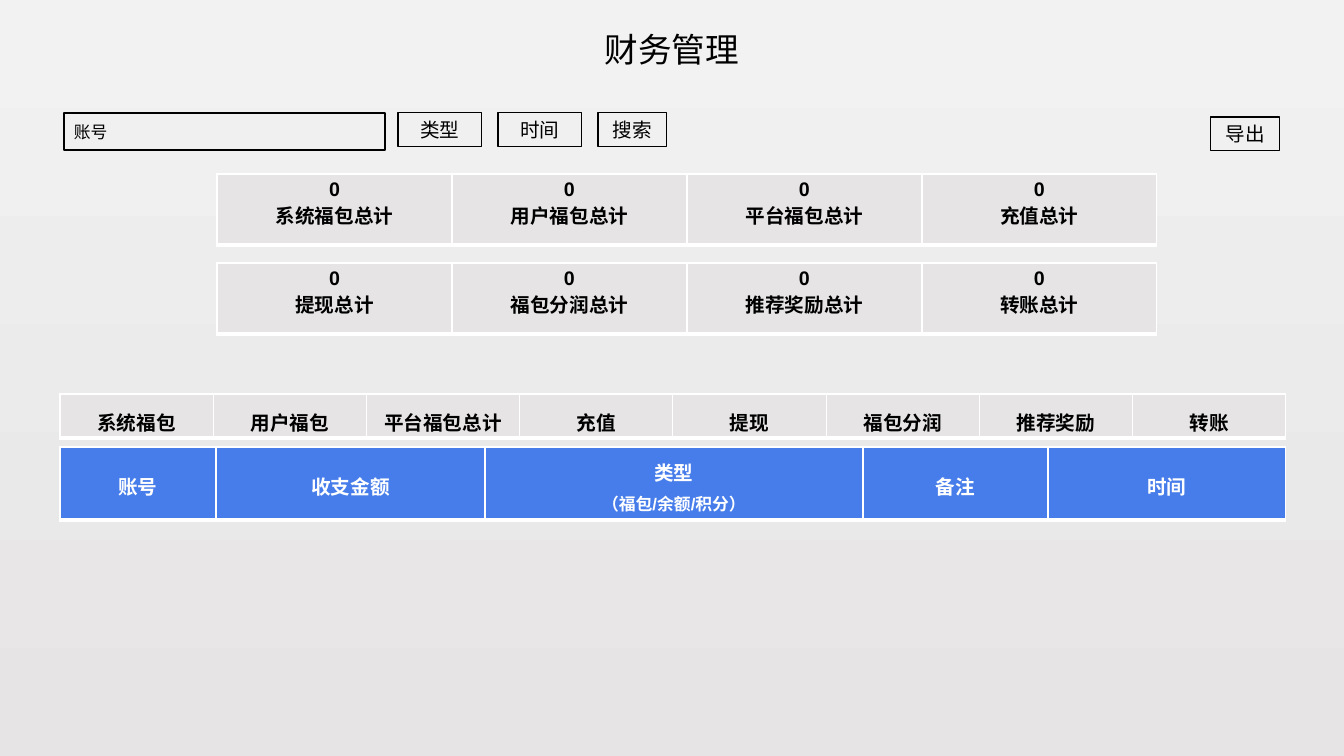
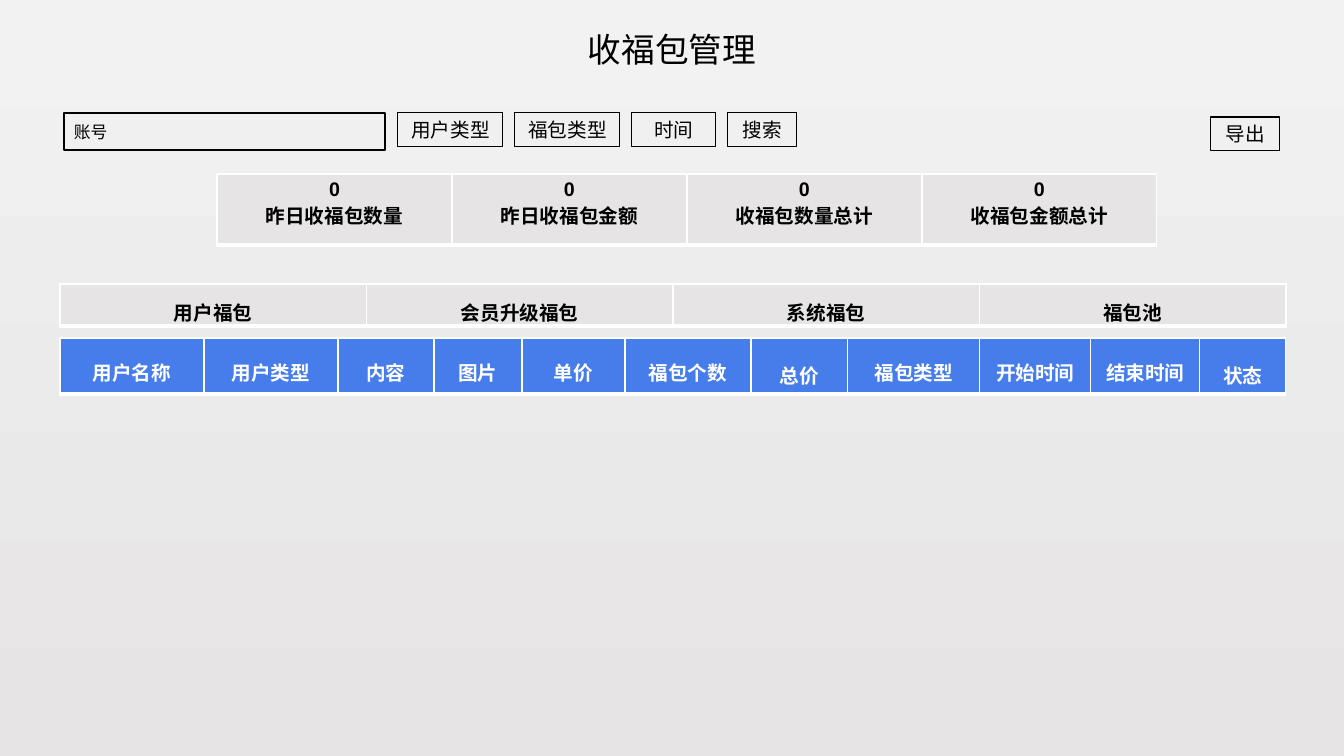
from lxml import etree
from pptx import Presentation
from pptx import util as u
from pptx.dml.color import RGBColor
from pptx.enum import shapes, text
from pptx.oxml.ns import qn

PIXEL = 914400 / 100.8
FONT = "Arial"
COLORS = {
    "ink": "000000",
    "white": "FFFFFF",
    "blue": "477DEA",
    "grey": "E6E4E4",
    "sky": "F2F2F2",
}
LEFT, WIDTH = 60, 1226
STATS_LEFT, STATS_WIDTH = 217, 940
BUTTON_HEIGHT = 34
BORDERS = {"a:lnL": 1, "a:lnR": 1, "a:lnT": 1, "a:lnB": 3}


def add_box(slide, box, words, size=14, line=0.75, align=text.PP_ALIGN.CENTER,
            anchor=text.MSO_ANCHOR.TOP):
    """Outlined box with one line of text; no outline when line is 0."""
    frame = [round(value * PIXEL) for value in box]
    if line:
        shape = slide.shapes.add_shape(shapes.MSO_SHAPE.RECTANGLE, *frame)
        shape.shadow.inherit = False
        shape.fill.background()
        shape.line.color.rgb = RGBColor.from_string(COLORS["ink"])
        shape.line.width = u.Pt(line)
    else:
        shape = slide.shapes.add_textbox(*frame)
    shape.text_frame.word_wrap = True
    shape.text_frame.vertical_anchor = anchor
    paragraph = shape.text_frame.paragraphs[0]
    paragraph.alignment = align
    run = paragraph.add_run()
    run.text = words
    run.font.name, run.font.size = FONT, u.Pt(size)
    run.font.color.rgb = RGBColor.from_string(COLORS["ink"])


def add_row(slide, left, top, height, widths, cells, fill, ink):
    """One-row table; each cell is (line spacing, [(text, size), ...])."""
    frame = [round(value * PIXEL) for value in (left, top, sum(widths), height)]
    table = slide.shapes.add_table(1, len(cells), *frame).table
    table.first_row = table.horz_banding = False
    for index, (width, (spacing, lines)) in enumerate(zip(widths, cells)):
        table.columns[index].width = round(width * PIXEL)
        cell = table.cell(0, index)
        properties = cell._tc.get_or_add_tcPr()
        for tag, points in BORDERS.items():
            border = etree.SubElement(properties, qn(tag), w=str(u.Pt(points)))
            solid = etree.SubElement(border, qn("a:solidFill"))
            etree.SubElement(solid, qn("a:srgbClr"), val=COLORS["white"])
        cell.fill.solid()
        cell.fill.fore_color.rgb = RGBColor.from_string(COLORS[fill])
        for number, (words, size) in enumerate(lines):
            frame = cell.text_frame
            paragraph = frame.add_paragraph() if number else frame.paragraphs[0]
            paragraph.alignment = text.PP_ALIGN.CENTER
            paragraph.line_spacing = spacing
            run = paragraph.add_run()
            run.text = words
            run.font.name, run.font.size, run.font.bold = FONT, u.Pt(size), True
            run.font.color.rgb = RGBColor.from_string(COLORS[ink])


PAGES = [
    {
        "title": "财务管理",
        "gap": 16,
        "buttons": [("类型", 84), ("时间", 84), ("搜索", 69)],
        "stats": [
            (174, ["系统福包总计", "用户福包总计", "平台福包总计", "充值总计"]),
            (263, ["提现总计", "福包分润总计", "推荐奖励总计", "转账总计"]),
        ],
        "tabs": (394, 44, ["系统福包", "用户福包", "平台福包总计", "充值",
                           "提现", "福包分润", "推荐奖励", "转账"]),
        "header": (447, 73, [156, 269, 378, 185, 238], [
            (1.7, [("账号", 14)]),
            (1.7, [("收支金额", 14)]),
            (1.2, [("类型", 14), ("（福包/余额/积分）", 12)]),
            (1.7, [("备注", 14)]),
            (1.7, [("时间", 14)]),
        ]),
    },
    {
        "title": "收福包管理",
        "gap": 12,
        "buttons": [("用户类型", 105), ("福包类型", 105), ("时间", 84), ("搜索", 69)],
        "stats": [
            (174, ["昨日收福包数量", "昨日收福包金额", "收福包数量总计", "收福包金额总计"]),
        ],
        "tabs": (284, 42, ["用户福包", "会员升级福包", "系统福包", "福包池"]),
        "header": (338, 56, [144, 134, 96, 88, 103, 126, 97, 132, 111, 109, 86], [
            (1.6 if name in ("总价", "状态") else 1.5, [(name, 14)])
            for name in ("用户名称", "用户类型", "内容", "图片", "单价", "福包个数",
                         "总价", "福包类型", "开始时间", "结束时间", "状态")
        ]),
    },
]

presentation = Presentation()
presentation.slide_width = round(1344 * PIXEL)
presentation.slide_height = round(756 * PIXEL)

for page in PAGES:
    slide = presentation.slides.add_slide(presentation.slide_layouts[6])

    # Background, light at the top
    background = slide.background.fill
    background.gradient()
    background.gradient_angle = 270
    for stop, name in zip(background.gradient_stops, ("sky", "grey")):
        stop.color.rgb = RGBColor.from_string(COLORS[name])

    # Title, search field and buttons
    add_box(slide, (570, 24, 204, 50), page["title"], size=24, line=0)
    add_box(slide, (64, 113, 321, 37), "账号", size=12, line=1,
            align=text.PP_ALIGN.LEFT, anchor=text.MSO_ANCHOR.MIDDLE)
    button_left = 398
    for label, width in page["buttons"]:
        add_box(slide, (button_left, 113, width, BUTTON_HEIGHT), label)
        button_left += width + page["gap"]
    add_box(slide, (1211, 117, 69, BUTTON_HEIGHT), "导出")

    # Totals
    for top, labels in page["stats"]:
        cells = [(1.0, [("0", 14), (label, 14)]) for label in labels]
        widths = [STATS_WIDTH / len(labels)] * len(labels)
        add_row(slide, STATS_LEFT, top, 71, widths, cells, "grey", "ink")

    # Tabs
    top, height, labels = page["tabs"]
    cells = [(1.3, [(label, 14)]) for label in labels]
    widths = [WIDTH / len(labels)] * len(labels)
    add_row(slide, LEFT, top, height, widths, cells, "grey", "ink")

    # Column headings
    top, height, widths, cells = page["header"]
    add_row(slide, LEFT, top, height, widths, cells, "blue", "white")

presentation.save("out.pptx")
